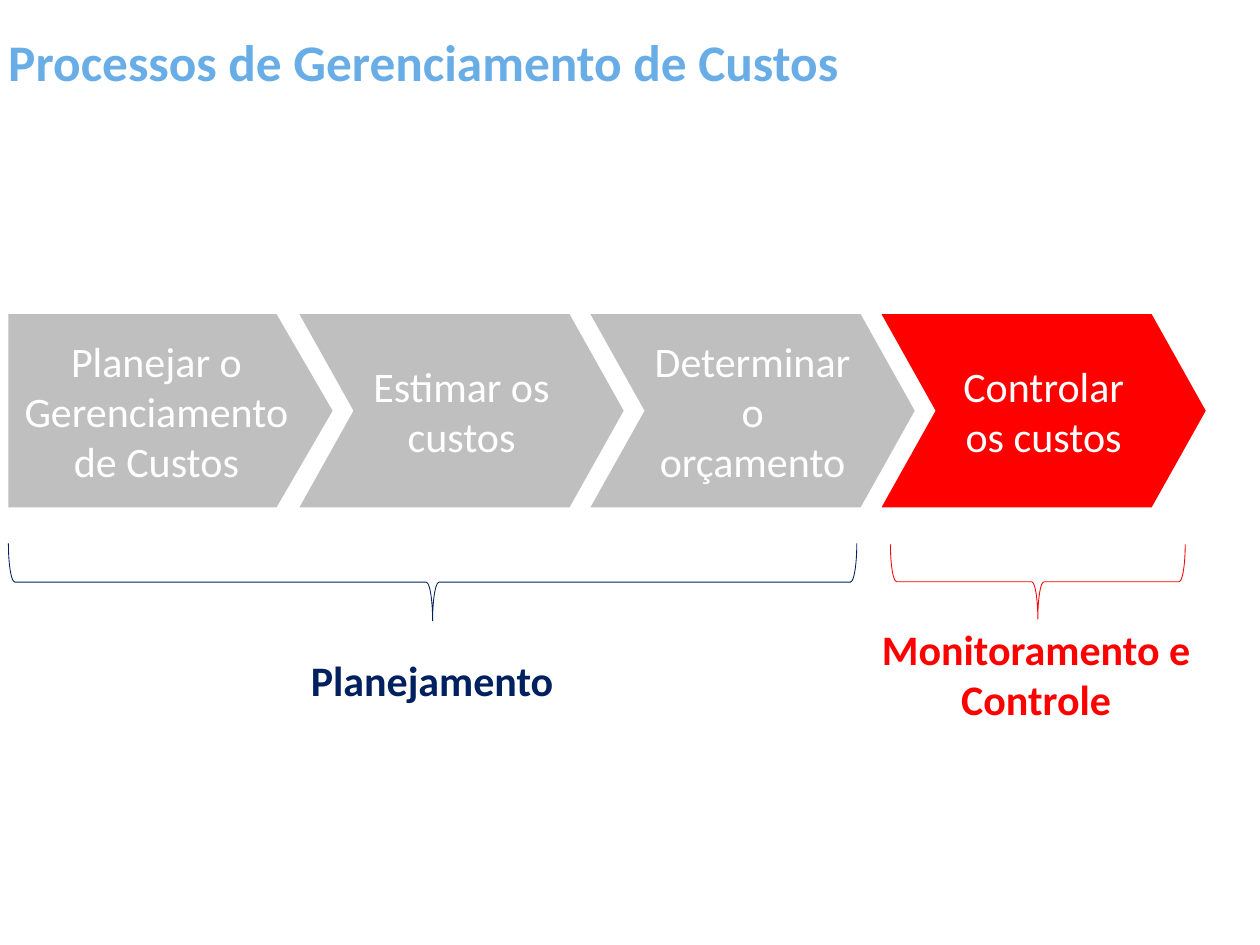
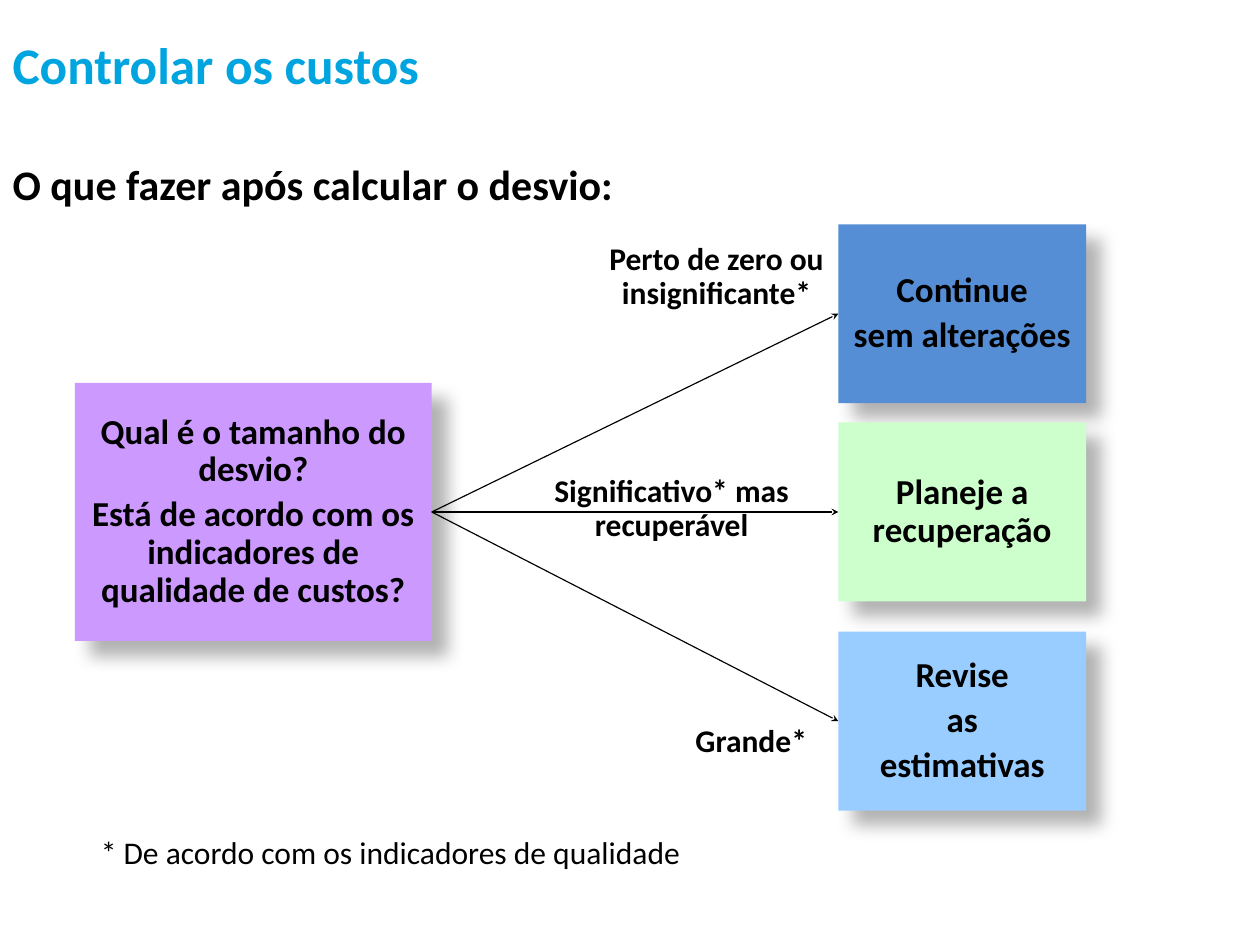
from dataclasses import dataclass

from lxml.etree import SubElement
from pptx import Presentation
from pptx.dml.color import RGBColor
from pptx.enum.shapes import MSO_CONNECTOR, MSO_SHAPE
from pptx.enum.text import MSO_ANCHOR, PP_ALIGN
from pptx.oxml.ns import qn
from pptx.shapes.autoshape import Shape
from pptx.slide import Slide
from pptx.util import Emu, Inches, Pt

# Slide grid: 60 columns by 45 rows
SLIDE_W, SLIDE_H = Inches(15), Inches(11.25)
COLUMNS, ROWS = 60, 45

FONT = "Calibri"
BLACK = RGBColor(0x00, 0x00, 0x00)
WHITE = RGBColor(0xFF, 0xFF, 0xFF)
GRAY = RGBColor(0xBF, 0xBF, 0xBF)
RED = RGBColor(0xFF, 0x00, 0x00)
NAVY = RGBColor(0x00, 0x20, 0x60)
TITLE_SKY = RGBColor(0x69, 0xAD, 0xE7)
TITLE_CYAN = RGBColor(0x00, 0xA4, 0xDE)
BLUE = RGBColor(0x55, 0x8E, 0xD5)
GREEN = RGBColor(0xCC, 0xFF, 0xCC)
LIGHT_BLUE = RGBColor(0x99, 0xCC, 0xFF)
PURPLE = RGBColor(0xCC, 0x99, 0xFF)


@dataclass(frozen=True)
class Area:
    """A place on the grid, in columns and rows."""
    column: float
    row: float
    columns: float
    rows: float

    def box(self) -> tuple[Emu, Emu, Emu, Emu]:
        return (across(self.column), down(self.row),
                across(self.columns), down(self.rows))


@dataclass(frozen=True)
class TextStyle:
    size: float
    color: RGBColor = BLACK
    bold: bool = True
    align: PP_ALIGN = PP_ALIGN.CENTER
    anchor: MSO_ANCHOR = MSO_ANCHOR.TOP
    spacing: float = 1.0
    wide_margins: bool = False


@dataclass(frozen=True)
class Step:
    text: str
    preset: MSO_SHAPE
    point: float
    fill: RGBColor


@dataclass(frozen=True)
class Phase:
    text: str
    color: RGBColor
    brace: Area
    label: Area


@dataclass(frozen=True)
class Card:
    text: str
    area: Area
    fill: RGBColor


@dataclass(frozen=True)
class Label:
    text: str
    area: Area
    style: TextStyle


def across(columns: float) -> Emu:
    return Emu(round(SLIDE_W * columns / COLUMNS))


def down(rows: float) -> Emu:
    return Emu(round(SLIDE_H * rows / ROWS))


# Shared drawing
def write(shape: Shape, text: str, style: TextStyle) -> None:
    frame = shape.text_frame
    frame.text = text
    frame.word_wrap = True
    frame.vertical_anchor = style.anchor
    if style.wide_margins:
        frame.margin_left = frame.margin_right = Inches(0.15)
        frame.margin_top = frame.margin_bottom = Inches(0.08)
    for index, paragraph in enumerate(frame.paragraphs):
        paragraph.alignment = style.align
        paragraph.line_spacing = style.spacing
        if index:
            paragraph.space_before = Pt(style.size * 0.2)
        for run in paragraph.runs:
            run.font.name = FONT
            run.font.size = Pt(style.size)
            run.font.bold = style.bold
            run.font.color.rgb = style.color


def add_label(slide: Slide, label: Label) -> None:
    write(slide.shapes.add_textbox(*label.area.box()), label.text, label.style)


def add_title(slide: Slide, text: str, color: RGBColor, wide_margins: bool) -> None:
    style = TextStyle(44, color, align=PP_ALIGN.LEFT, wide_margins=wide_margins,
                      anchor=MSO_ANCHOR.TOP if wide_margins else MSO_ANCHOR.MIDDLE)
    rows = 2.88 if wide_margins else 3.32
    add_label(slide, Label(text, Area(0, 1.24, 42, rows), style))


def add_filled(slide: Slide, preset: MSO_SHAPE, area: Area, fill: RGBColor) -> Shape:
    shape = slide.shapes.add_shape(preset, *area.box())
    shape.fill.solid()
    shape.fill.fore_color.rgb = fill
    shape.line.fill.background()
    shape.shadow.inherit = False
    return shape


# Process chain
STEP_STYLE = TextStyle(36, WHITE, bold=False, anchor=MSO_ANCHOR.MIDDLE)
STEP_PITCH = 13.86
STEPS = (
    Step("Planejar o Gerenciamento de Custos", MSO_SHAPE.PENTAGON, 0.29, GRAY),
    Step("Estimar os custos", MSO_SHAPE.CHEVRON, 0.28, GRAY),
    Step("Determinar o orçamento", MSO_SHAPE.CHEVRON, 0.28, GRAY),
    Step("Controlar os custos", MSO_SHAPE.CHEVRON, 0.28, RED),
)
PHASES = (
    Phase("Planejamento", NAVY,
          Area(0.4, 25.88, 40.4, 3.68), Area(13.4, 30.96, 14.36, 2.84)),
    Phase("Monitoramento e Controle", RED,
          Area(42.4, 25.92, 14.04, 3.56), Area(41.28, 29.48, 16.12, 5.24)),
)


def add_brace(slide: Slide, area: Area, color: RGBColor) -> None:
    """Turn a right brace by 90 degrees so that it fills the area pointing down."""
    left, top, width, height = area.box()
    shift = (width - height) // 2
    brace = slide.shapes.add_shape(MSO_SHAPE.RIGHT_BRACE, left + shift, top - shift,
                                   height, width)
    brace.rotation = 90
    brace.fill.background()
    brace.line.color.rgb = color
    brace.line.width = Pt(0.75)
    brace.shadow.inherit = False


def build_processes(slide: Slide) -> None:
    add_title(slide, "Processos de Gerenciamento de Custos", TITLE_SKY, False)
    for index, step in enumerate(STEPS):
        area = Area(0.4 + index * STEP_PITCH, 14.96, 15.44, 9.2)
        arrow = add_filled(slide, step.preset, area, step.fill)
        arrow.adjustments[0] = step.point
        write(arrow, step.text, STEP_STYLE)
    for phase in PHASES:
        add_brace(slide, phase.brace, phase.color)
        add_label(slide, Label(phase.text, phase.label, TextStyle(36, phase.color)))


# Deviation decision
CARD_STYLE = TextStyle(30, anchor=MSO_ANCHOR.MIDDLE, spacing=0.9, wide_margins=True)
BRANCH_STYLE = TextStyle(27, anchor=MSO_ANCHOR.MIDDLE, spacing=0.9, wide_margins=True)
LEFT_STYLE = TextStyle(27, align=PP_ALIGN.LEFT, wide_margins=True)
NOTE_STYLE = TextStyle(27, bold=False, align=PP_ALIGN.LEFT, wide_margins=True)
HEADING_STYLE = TextStyle(36, align=PP_ALIGN.LEFT, spacing=0.9, wide_margins=True)

HEADING = Label("O que fazer após calcular o desvio:",
                Area(0, 7.52, 58.36, 2.72), HEADING_STYLE)
OUTCOMES = tuple(
    Card(text, Area(39.92, row, 11.8, 8.52), fill)
    for text, row, fill in (
        ("Continue\nsem alterações", 10.68, BLUE),
        ("Planeje a recuperação", 20.12, GREEN),
        ("Revise\nas\nestimativas", 30.08, LIGHT_BLUE),
    )
)
QUESTION = Card("Qual é o tamanho do desvio?\n"
                "Está de acordo com os indicadores de qualidade de custos?",
                Area(3.56, 18.24, 17, 12.28), PURPLE)
ANSWERS = (
    Label("Perto de zero ou insignificante*", Area(28.12, 12, 12, 2.4), BRANCH_STYLE),
    Label("Significativo* mas recuperável", Area(25, 21.68, 13.96, 5.12), BRANCH_STYLE),
    Label("Grande*", Area(32.52, 34, 7.88, 2.4), LEFT_STYLE),
)
FOOTNOTE = Label("* De acordo com os indicadores de qualidade",
                 Area(4.2, 39.36, 47.36, 2.4), NOTE_STYLE)


def add_card(slide: Slide, card: Card) -> Shape:
    shape = add_filled(slide, MSO_SHAPE.RECTANGLE, card.area, card.fill)
    effects = shape.element.spPr.find(qn("a:effectLst"))
    shadow = SubElement(effects, qn("a:outerShdw"), blurRad=str(Pt(15)),
                        dist=str(Pt(18)), dir=str(45 * 60000), algn="tl",
                        rotWithShape="0")
    color = SubElement(shadow, qn("a:srgbClr"), val=str(BLACK))
    SubElement(color, qn("a:alpha"), val="30000")
    write(shape, card.text, CARD_STYLE)
    return shape


def add_arrow(slide: Slide, start: Shape, end: Shape) -> None:
    arrow = slide.shapes.add_connector(
        MSO_CONNECTOR.STRAIGHT,
        start.left + start.width, start.top + start.height // 2,
        end.left, end.top + end.height // 2)
    arrow.begin_connect(start, 3)
    arrow.end_connect(end, 1)
    arrow.line.color.rgb = BLACK
    arrow.line.width = Pt(1)
    properties = arrow.element.spPr
    SubElement(properties.find(qn("a:ln")), qn("a:tailEnd"), type="stealth")
    SubElement(properties, qn("a:effectLst"))


def build_decision(slide: Slide) -> None:
    add_label(slide, HEADING)
    outcomes = [add_card(slide, card) for card in OUTCOMES]
    question = add_card(slide, QUESTION)
    for outcome in outcomes:
        add_arrow(slide, question, outcome)
    for label in (*ANSWERS, FOOTNOTE):
        add_label(slide, label)
    add_title(slide, "Controlar os custos", TITLE_CYAN, True)


def main() -> None:
    deck = Presentation()
    deck.slide_width, deck.slide_height = SLIDE_W, SLIDE_H
    blank = deck.slide_layouts[6]
    for build in (build_processes, build_decision):
        build(deck.slides.add_slide(blank))
    deck.save("out.pptx")


if __name__ == "__main__":
    main()
